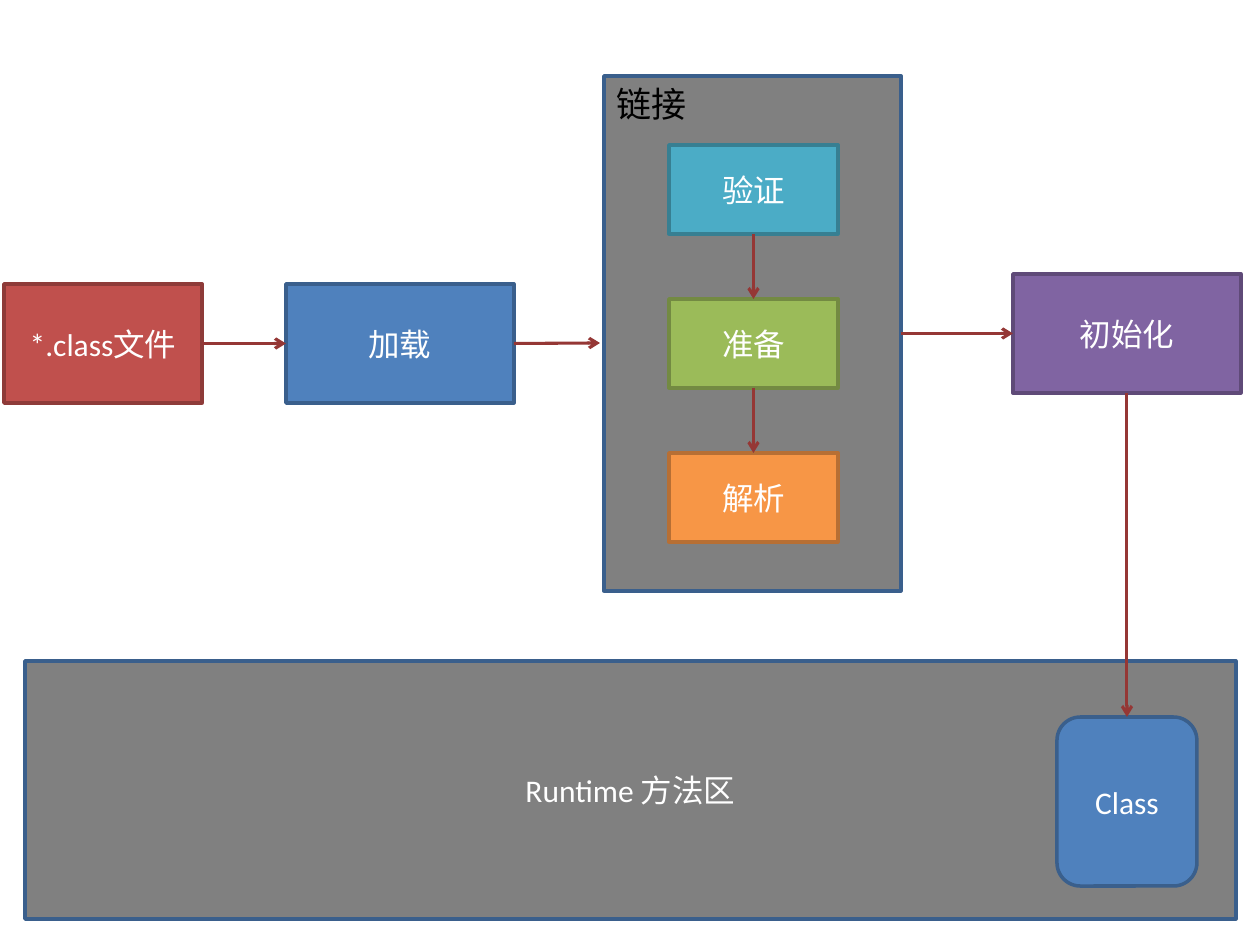
from lxml.etree import SubElement
from pptx import Presentation
from pptx.dml.color import RGBColor
from pptx.enum.shapes import MSO_CONNECTOR, MSO_SHAPE
from pptx.enum.text import MSO_ANCHOR, PP_ALIGN
from pptx.oxml.ns import qn
from pptx.util import Emu, Pt

COLORS = {
    "gray": ("808080", "3A5F8C"),
    "red": ("C0504D", "8E3B39"),
    "blue": ("4F81BD", "3A5F8C"),
    "purple": ("8064A2", "5F4A78"),
    "teal": ("4BACC6", "377F92"),
    "green": ("9BBB59", "738A42"),
    "orange": ("F79646", "B76F34"),
    "arrow": "953735",
    "light": "FFFFFF",
    "dark": "000000",
}
FONT = "Calibri"
TOP, LEFT, BOTTOM, RIGHT = range(4)

# name: (text, color, left, top, width, height), in px
BOXES = {
    "linking": ("", "gray", 604, 76, 297, 515),
    "method area": ("Runtime 方法区", "gray", 25, 661, 1211, 258),
    "file": ("*.class文件", "red", 4, 284, 198, 119),
    "loading": ("加载", "blue", 286, 284, 228, 119),
    "initialization": ("初始化", "purple", 1013, 274, 228, 119),
    "class": ("Class", "blue", 1057, 717, 140, 169),
}
STEPS = [("验证", "teal"), ("准备", "green"), ("解析", "orange")]
STEP_LEFT, STEP_TOP, STEP_WIDTH, STEP_HEIGHT, STEP_PITCH = 669, 145, 169, 89, 154
for index, (step, color) in enumerate(STEPS):
    BOXES[step] = (step, color, STEP_LEFT, STEP_TOP + index * STEP_PITCH,
                   STEP_WIDTH, STEP_HEIGHT)

LINKS = [
    ("file", RIGHT, "loading", LEFT),
    ("linking", RIGHT, "initialization", LEFT),
    ("initialization", BOTTOM, "class", TOP),
    ("验证", BOTTOM, "准备", TOP),
    ("准备", BOTTOM, "解析", TOP),
]
LOADING_ARROW = (514, 343, 600, 343)
LABEL = ("链接", 604, 76, 185, 55)


def px(value):
    return Emu(round(value * 914400 / 126))


def write(shape, text, size=18, color="light", align=PP_ALIGN.CENTER,
          anchor=MSO_ANCHOR.MIDDLE):
    frame = shape.text_frame
    frame.word_wrap = True
    frame.vertical_anchor = anchor
    paragraph = frame.paragraphs[0]
    paragraph.alignment = align
    run = paragraph.add_run()
    run.text = text
    run.font.name = FONT
    run.font.size = Pt(size)
    run.font.color.rgb = RGBColor.from_string(COLORS[color])


def add_box(slide, text, color, *bounds, kind=MSO_SHAPE.RECTANGLE):
    shape = slide.shapes.add_shape(kind, *map(px, bounds))
    shape.shadow.inherit = False
    fill, outline = COLORS[color]
    shape.fill.solid()
    shape.fill.fore_color.rgb = RGBColor.from_string(fill)
    shape.line.color.rgb = RGBColor.from_string(outline)
    shape.line.width = Pt(2)
    if text:
        write(shape, text)
    return shape


def add_arrow(slide, *ends):
    arrow = slide.shapes.add_connector(MSO_CONNECTOR.STRAIGHT, *map(px, ends))
    arrow.line.color.rgb = RGBColor.from_string(COLORS["arrow"])
    arrow.line.width = Pt(1.75)
    SubElement(arrow.line._get_or_add_ln(), qn("a:tailEnd"), type="arrow")
    SubElement(arrow._element.spPr, qn("a:effectLst"))
    return arrow


def main():
    presentation = Presentation()
    presentation.slide_width, presentation.slide_height = px(1260), px(945)
    slide = presentation.slides.add_slide(presentation.slide_layouts[6])

    shapes = {}
    for name, box in BOXES.items():
        kind = MSO_SHAPE.ROUNDED_RECTANGLE if name == "class" else MSO_SHAPE.RECTANGLE
        shapes[name] = add_box(slide, *box, kind=kind)

    for start, start_side, end, end_side in LINKS:
        arrow = add_arrow(slide, 0, 0, 0, 0)
        arrow.begin_connect(shapes[start], start_side)
        arrow.end_connect(shapes[end], end_side)
    add_arrow(slide, *LOADING_ARROW).begin_connect(shapes["loading"], RIGHT)

    text, *bounds = LABEL
    label = slide.shapes.add_textbox(*map(px, bounds))
    write(label, text, size=20, color="dark", align=PP_ALIGN.LEFT,
          anchor=MSO_ANCHOR.TOP)
    presentation.save("out.pptx")


if __name__ == "__main__":
    main()
